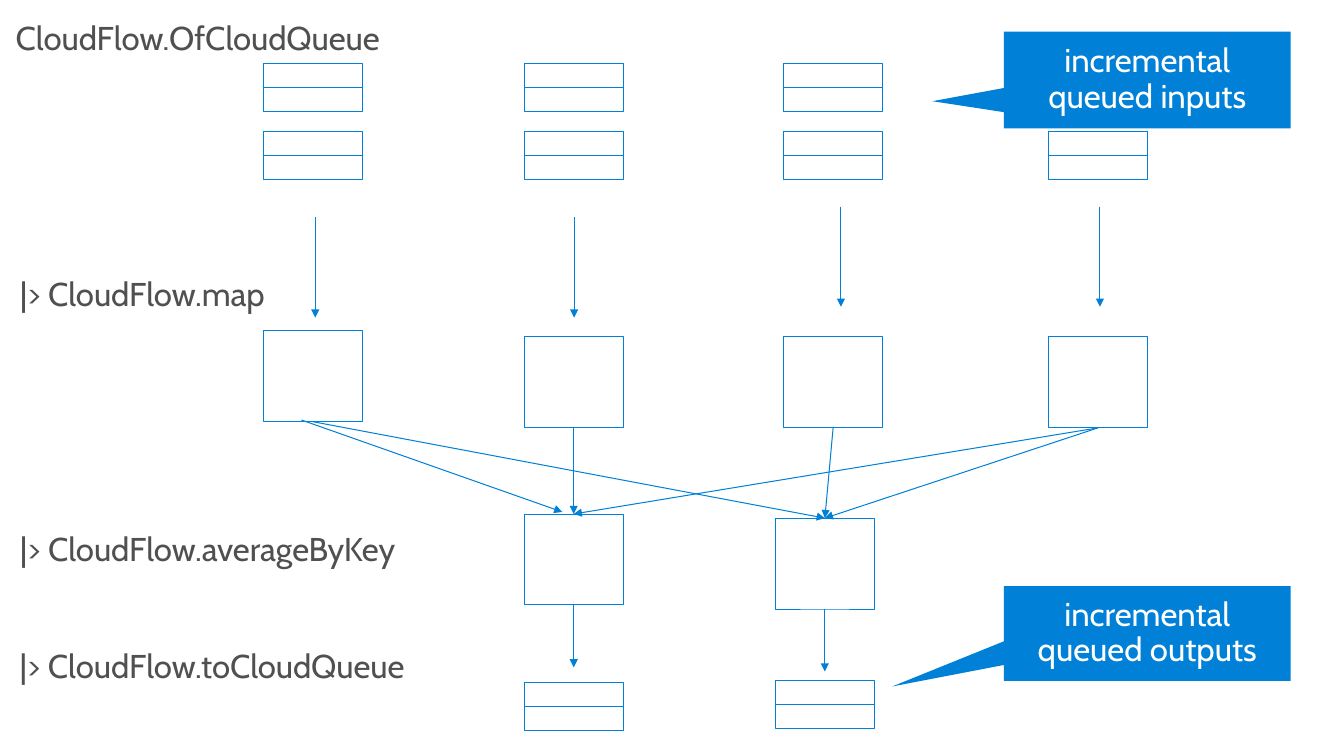
from dataclasses import dataclass

from lxml.etree import SubElement
from pptx import Presentation
from pptx.dml.color import RGBColor
from pptx.enum.shapes import MSO_CONNECTOR, MSO_SHAPE
from pptx.enum.text import MSO_ANCHOR, MSO_AUTO_SIZE, PP_ALIGN
from pptx.oxml.ns import qn
from pptx.util import Pt

TOP, BOTTOM = 0, 2


@dataclass(frozen=True)
class Theme:
    blue: RGBColor = RGBColor(0x00, 0x80, 0xD6)
    gray: RGBColor = RGBColor(0x50, 0x50, 0x50)
    white: RGBColor = RGBColor(0xFF, 0xFF, 0xFF)
    font: str = "Cabin"
    text_size: float = 24
    line_width: float = 0.75


class FlowDiagram:
    node_width = 72
    node_height = 66.25
    cell_height = 17.5

    def __init__(self, page, theme):
        self.page = page
        self.theme = theme

    def style_text(self, shape, text, color):
        frame = shape.text_frame
        frame.text = text
        frame.margin_left = frame.margin_right = Pt(14.4)
        frame.margin_top = frame.margin_bottom = Pt(11.5)
        para = frame.paragraphs[0]
        para.line_spacing = 0.9
        font = para.runs[0].font
        font.name = self.theme.font
        font.size = Pt(self.theme.text_size)
        font.color.rgb = color
        return frame, para

    def label(self, text, left, top, width):
        box = self.page.shapes.add_textbox(Pt(left), Pt(top), Pt(width), Pt(49.7))
        frame, para = self.style_text(box, text, self.theme.gray)
        frame.word_wrap = False
        frame.auto_size = MSO_AUTO_SIZE.SHAPE_TO_FIT_TEXT
        para.space_after = Pt(6)

    def rectangle(self, left, top, height):
        shape = self.page.shapes.add_shape(
            MSO_SHAPE.RECTANGLE, Pt(left), Pt(top), Pt(self.node_width), Pt(height))
        shape.shadow.inherit = False
        shape.fill.background()
        shape.line.color.rgb = self.theme.blue
        shape.line.width = Pt(self.theme.line_width)
        return shape

    def node(self, left, top):
        return self.rectangle(left, top, self.node_height)

    def queue(self, left, top):
        """Draw two stacked cells."""
        for row in range(2):
            self.rectangle(left, top + row * self.cell_height, self.cell_height)

    def arrow(self, start, end, source=None, target=None):
        """Draw an arrow, joined to the source's bottom and target's top if given."""
        connector = self.page.shapes.add_connector(
            MSO_CONNECTOR.STRAIGHT, *(Pt(value) for value in (*start, *end)))
        if source is not None:
            connector.begin_connect(source, BOTTOM)
        if target is not None:
            connector.end_connect(target, TOP)
        connector.line.color.rgb = self.theme.blue
        connector.line.width = Pt(self.theme.line_width)
        properties = connector.line._get_or_add_ln()
        SubElement(properties, qn("a:tailEnd"), type="triangle")
        SubElement(connector._element.spPr, qn("a:effectLst"))

    def link(self, source, target):
        self.arrow((0, 0), (0, 0), source, target)

    def callout(self, text, top, height, pointer):
        shape = self.page.shapes.add_shape(
            MSO_SHAPE.RECTANGULAR_CALLOUT, Pt(731.5), Pt(top), Pt(208.8), Pt(height))
        shape.shadow.inherit = False
        shape.fill.solid()
        shape.fill.fore_color.rgb = self.theme.blue
        shape.line.fill.background()
        for index, value in enumerate(pointer):
            shape.adjustments[index] = value
        frame, para = self.style_text(shape, text, self.theme.white)
        frame.word_wrap = True
        frame.vertical_anchor = MSO_ANCHOR.MIDDLE
        para.alignment = PP_ALIGN.CENTER


def main():
    deck = Presentation()
    deck.slide_width, deck.slide_height = Pt(979.2), Pt(550.8)
    page = deck.slides.add_slide(deck.slide_layouts[6])
    diagram = FlowDiagram(page, Theme())

    columns = (192, 382, 571, 764)
    for left in columns:
        diagram.queue(left, 96)
    for left in columns[:3]:
        diagram.queue(left, 46)

    for x, top in ((229.7, 158.4), (418.3, 158.4), (612.7, 150.5), (801.4, 150.5)):
        diagram.arrow((x, top), (x, top + 73))

    map_tops = (241, 245.5, 245.5, 245.5)
    maps = [diagram.node(left, top) for left, top in zip(columns, map_tops)]
    averages = []
    for left, top, output_top in ((382, 374.5, 497.5), (565, 377.5, 496)):
        average = diagram.node(left, top)
        averages.append(average)
        center = left + diagram.node_width / 2
        bottom = top + diagram.node_height
        diagram.arrow((center, bottom), (center, bottom + 45.5), source=average)
        diagram.queue(left, output_top)

    diagram.arrow((219.6, 306), (409.7, 373))
    for source, target in ((0, 1), (1, 0), (2, 1), (3, 0), (3, 1)):
        diagram.link(maps[source], averages[target])

    for text, left, top, width in (
        ("CloudFlow.OfCloudQueue", -3, 4.3, 306),
        ("|> CloudFlow.map", 0, 190.8, 222.5),
        ("|> CloudFlow.averageByKey", 0, 376.5, 322.5),
        ("|> CloudFlow.toCloudQueue", 0, 462.2, 332),
    ):
        diagram.label(text, left, top, width)

    diagram.callout("incremental queued inputs", 23, 70.5, (-0.75, 0.22))
    diagram.callout("incremental queued outputs", 427, 69, (-0.89, 0.56))
    deck.save("out.pptx")


if __name__ == "__main__":
    main()
